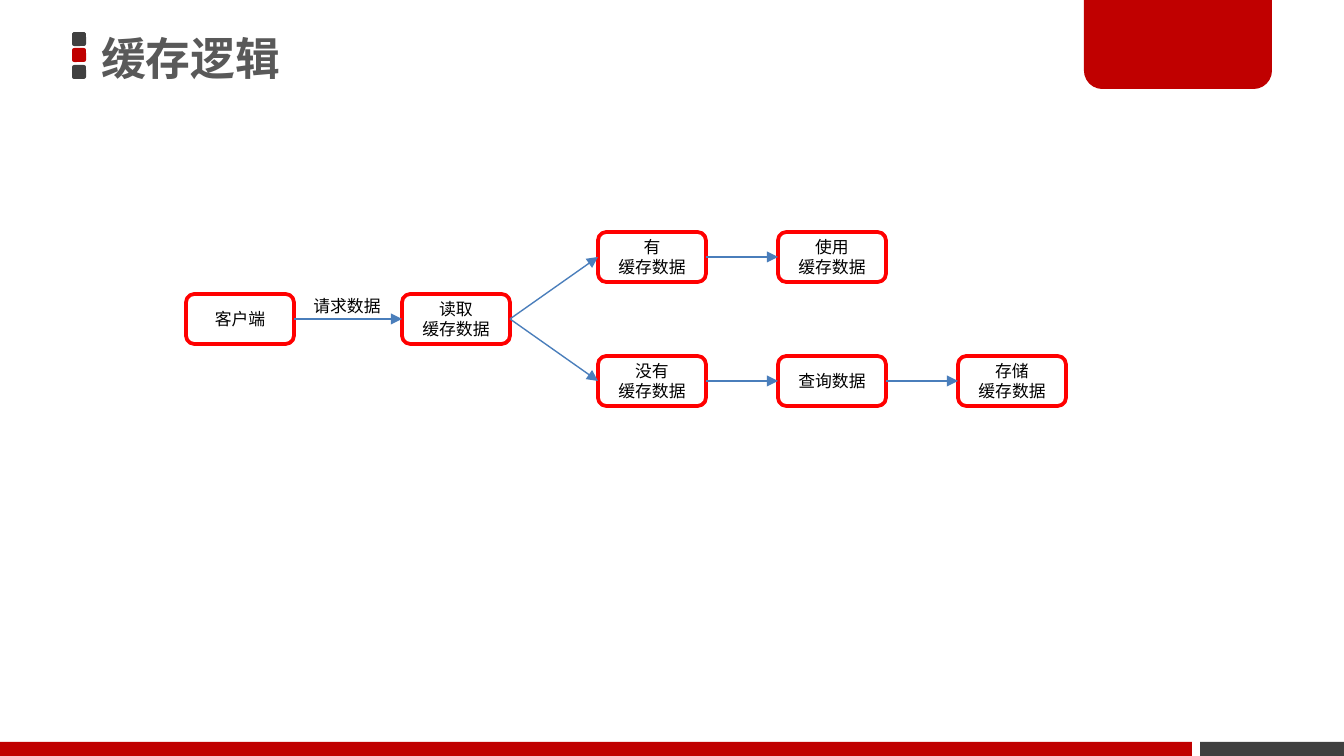
from dataclasses import dataclass

from pptx import Presentation
from pptx.dml.color import RGBColor
from pptx.enum.shapes import MSO_CONNECTOR as Connector, MSO_SHAPE as Preset
from pptx.enum.text import MSO_ANCHOR as Anchor, MSO_AUTO_SIZE as AutoSize, PP_ALIGN as Align
from pptx.oxml.ns import qn
from pptx.util import Emu, Pt
from lxml.etree import SubElement


@dataclass(frozen=True)
class Theme:
    red: str = "C00000"
    dark: str = "404040"
    title: str = "595959"
    text: str = "000000"
    box_fill: str = "FFFFFF"
    box_line: str = "FF0000"
    arrow: str = "4A7EBB"
    face: str = "Noto Sans CJK SC"
    title_size: int = 24
    text_size: int = 9
    box_weight: float = 2
    arrow_weight: float = 0.75


THEME = Theme()
EMU_PER_PX = 914400 / 134.4
LEFT_SITE, RIGHT_SITE = 1, 3
BOX_W, BOX_H = 108, 50
MIDDLE_Y, BRANCH_GAP = 294, 62
BRANCH_X, BRANCH_STEP = 598, 180


def px(*lengths):
    return [Emu(round(length * EMU_PER_PX)) for length in lengths]


def rgb(color):
    return RGBColor.from_string(color)


def add_block(slide, preset, bounds, fill):
    block = slide.shapes.add_shape(preset, *px(*bounds))
    block.shadow.inherit = False
    block.fill.solid()
    block.fill.fore_color.rgb = rgb(fill)
    block.line.fill.background()
    return block


def set_text(frame, text, size, color, align, bold=False, spacing=None):
    frame.text = text
    for paragraph in frame.paragraphs:
        paragraph.alignment = align
        paragraph.line_spacing = spacing
        font = paragraph.font
        font.size = Pt(size)
        font.bold = bold
        font.color.rgb = rgb(color)
        font.name = THEME.face
        properties = paragraph._p.pPr.find(qn("a:defRPr"))
        SubElement(properties, qn("a:ea"), typeface=THEME.face)


def add_label(slide, bounds, text):
    frame = slide.shapes.add_textbox(*px(*bounds)).text_frame
    frame.word_wrap = False
    frame.auto_size = AutoSize.SHAPE_TO_FIT_TEXT
    set_text(frame, text, THEME.text_size, THEME.text, Align.CENTER)


def add_title(slide, text):
    frame = slide.shapes.add_textbox(*px(90, 1, 675, 120)).text_frame
    frame.word_wrap = True
    frame.vertical_anchor = Anchor.MIDDLE
    frame.margin_left, frame.margin_right = px(11, 11)
    frame.margin_top, frame.margin_bottom = px(5, 5)
    set_text(frame, text, THEME.title_size, THEME.title, Align.LEFT, True, 0.9)


def add_step(slide, left, top, text):
    step = add_block(slide, Preset.ROUNDED_RECTANGLE, (left, top, BOX_W, BOX_H), THEME.box_fill)
    step.line.color.rgb = rgb(THEME.box_line)
    step.line.width = Pt(THEME.box_weight)
    frame = step.text_frame
    frame.word_wrap = True
    frame.vertical_anchor = Anchor.MIDDLE
    set_text(frame, text, THEME.text_size, THEME.text, Align.CENTER)
    return step


def add_arrow(slide, source, target):
    arrow = slide.shapes.add_connector(Connector.STRAIGHT, 0, 0, 0, 0)
    arrow.begin_connect(source, RIGHT_SITE)
    arrow.end_connect(target, LEFT_SITE)
    arrow.line.color.rgb = rgb(THEME.arrow)
    arrow.line.width = Pt(THEME.arrow_weight)
    SubElement(arrow.line._get_or_add_ln(), qn("a:tailEnd"), type="triangle")
    SubElement(arrow._element.spPr, qn("a:effectLst"))


def add_branch(slide, source, top, texts):
    for column, text in enumerate(texts):
        step = add_step(slide, BRANCH_X + column * BRANCH_STEP, top, text)
        add_arrow(slide, source, step)
        source = step


def add_frame(slide):
    for row, color in enumerate((THEME.dark, THEME.red, THEME.dark)):
        add_block(slide, Preset.ROUNDED_RECTANGLE, (72, 32 + row * 33 // 2, 14, 14), color)
    add_block(slide, Preset.RECTANGLE, (1200, 742, 144, 14), THEME.dark)
    add_block(slide, Preset.RECTANGLE, (0, 742, 1192, 14), THEME.red)
    corner = add_block(slide, Preset.ROUND_2_SAME_RECTANGLE, (1084, -3, 188, 92), THEME.red)
    corner.adjustments[0] = 0
    corner.adjustments[1] = 0.2


def main():
    deck = Presentation()
    deck.slide_width, deck.slide_height = px(1344, 756)
    slide = deck.slides.add_slide(deck.slide_layouts[6])
    add_frame(slide)
    add_title(slide, "缓存逻辑")
    client = add_step(slide, 186, MIDDLE_Y, "客户端")
    read_cache = add_step(slide, 402, MIDDLE_Y, "读取\n缓存数据")
    add_arrow(slide, client, read_cache)
    add_label(slide, (300, 289, 94, 34), "请求数据")
    add_branch(slide, read_cache, MIDDLE_Y - BRANCH_GAP, ("有\n缓存数据", "使用\n缓存数据"))
    add_branch(slide, read_cache, MIDDLE_Y + BRANCH_GAP,
               ("没有\n缓存数据", "查询数据", "存储\n缓存数据"))
    deck.save("out.pptx")


if __name__ == "__main__":
    main()
